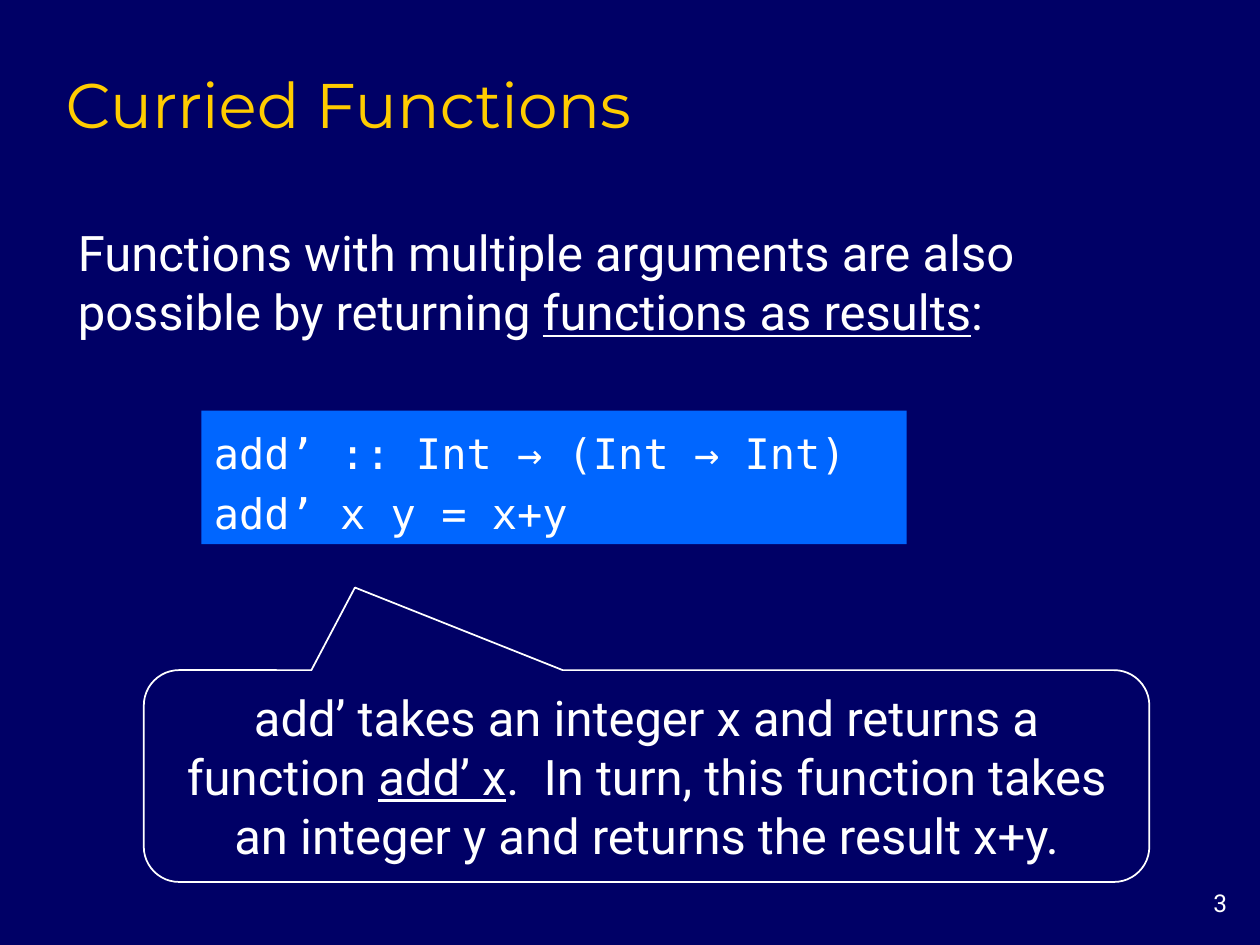
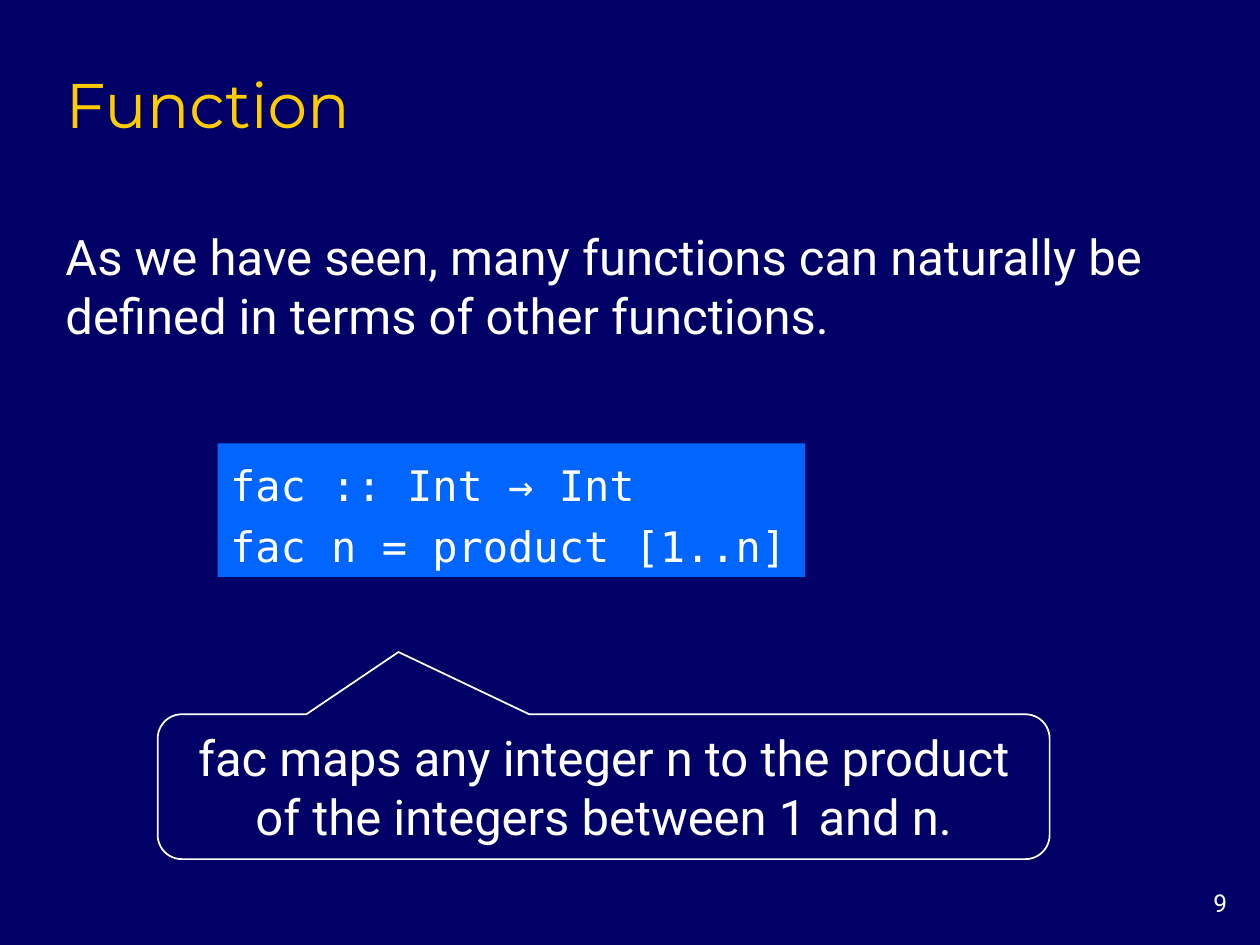
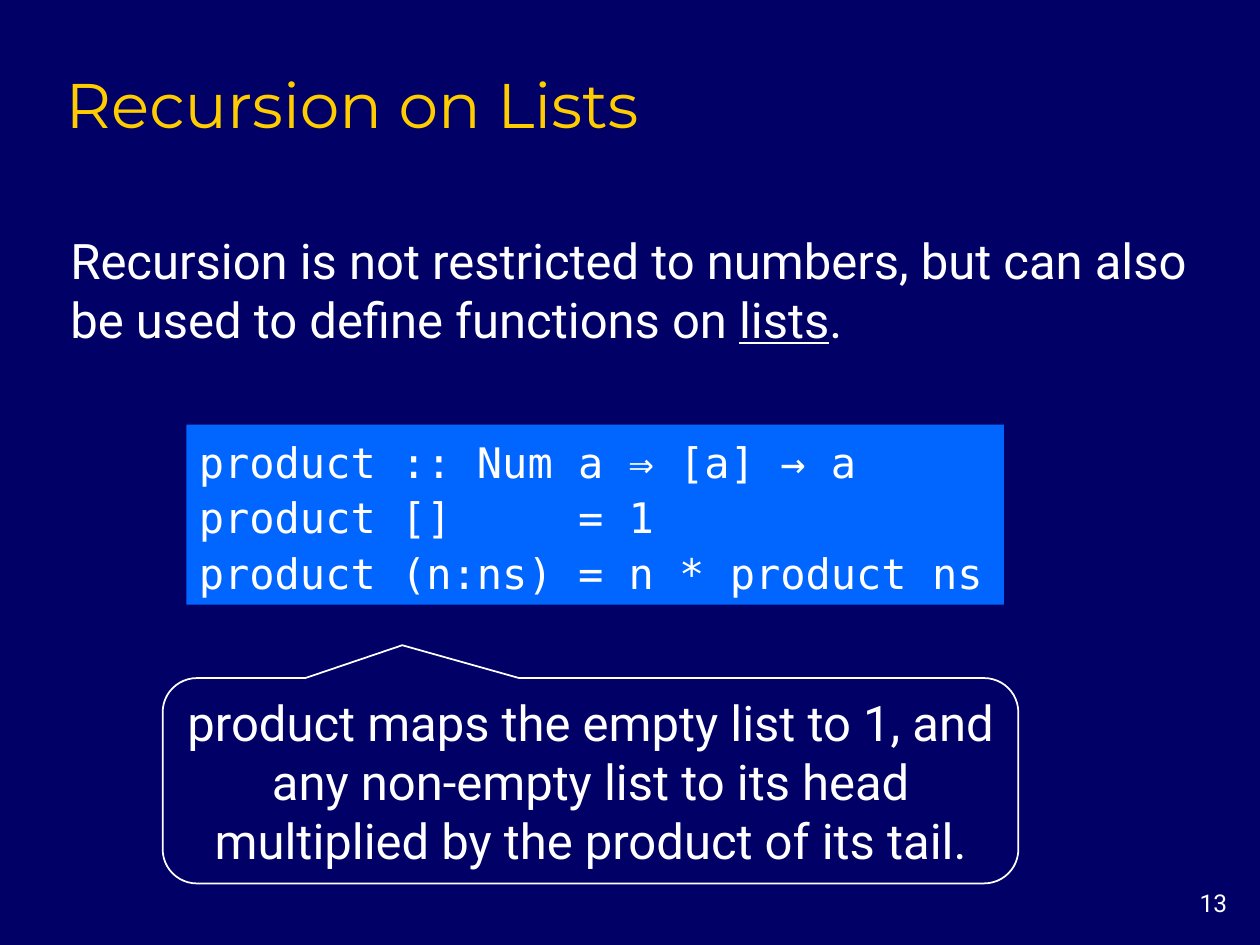
from pptx import Presentation
from pptx.dml.color import RGBColor
from pptx.enum.shapes import MSO_SHAPE
from pptx.enum.text import MSO_ANCHOR, PP_ALIGN
from pptx.util import Cm, Pt

NAVY = RGBColor(0x00, 0x00, 0x66)
BLUE = RGBColor(0x00, 0x66, 0xFF)
GOLD = RGBColor(0xFF, 0xCC, 0x00)
WHITE = RGBColor(0xFF, 0xFF, 0xFF)
TITLE_FONT, TEXT_FONT, CODE_FONT = "Montserrat", "Roboto", "DejaVu Sans Mono"

# Boxes are left, top, width, height in centimetres; _underscores_ mark underlined text.
LESSONS = [
    {
        "number": 3,
        "title": "Curried Functions",
        "intro": "Functions with multiple arguments are also possible by returning "
                 "_functions as results_:",
        "intro_box": (1.32, 4.37, 23.16, 2.62),
        "code": ["add’ :: Int → (Int → Int)", "add’ x y = x+y"],
        "code_box": (4.06, 8.28, 14.22, 2.69),
        "code_spacing": 1.2,
        "callout": "add’ takes an integer x and returns a function _add’ x_.  "
                   "In turn, this function takes an integer y and returns the result x+y.",
        "callout_box": (2.9, 13.51, 20.27, 4.27),
        "callout_tip": (-0.29, -0.89),
    },
    {
        "number": 9,
        "title": "Function",
        "intro": "As we have seen, many functions can naturally be defined "
                 "in terms of other functions.",
        "intro_box": (1.07, 4.45, 23.24, 2.62),
        "code": ["fac :: Int → Int", "fac n = product [1..n]"],
        "code_box": (4.39, 8.94, 11.84, 2.69),
        "code_spacing": 1.2,
        "callout": "fac maps any integer n to the product of the integers between 1 and n.",
        "callout_box": (3.18, 14.4, 17.98, 2.92),
        "callout_tip": (-0.23, -0.93),
    },
    {
        "number": 13,
        "title": "Recursion on Lists",
        "intro": "Recursion is not restricted to numbers, but can also be used "
                 "to define functions on _lists_.",
        "intro_box": (1.17, 4.52, 23.04, 2.62),
        "code": [
            "product :: Num a ⇒ [a] → a",
            "product []     = 1",
            "product (n:ns) = n * product ns",
        ],
        "code_box": (3.76, 8.56, 16.48, 3.63),
        "code_spacing": 1.1,
        "callout": "product maps the empty list to 1, and any non-empty list to its head "
                   "multiplied by the product of its tail.",
        "callout_box": (3.28, 13.67, 17.25, 4.14),
        "callout_tip": (-0.22, -0.66),
    },
]


def write_lines(shape, lines, font_name, size, color=WHITE, align=PP_ALIGN.LEFT,
                anchor=MSO_ANCHOR.MIDDLE, spacing=1.0):
    """Fill a shape with one paragraph per line, underlining text between underscores."""
    frame = shape.text_frame
    frame.word_wrap = True
    frame.vertical_anchor = anchor
    for index, line in enumerate(lines):
        paragraph = frame.add_paragraph() if index else frame.paragraphs[0]
        paragraph.alignment = align
        paragraph.line_spacing = spacing
        paragraph.font.name = font_name
        paragraph.font.size = Pt(size)
        paragraph.font.color.rgb = color
        for position, text in enumerate(line.split("_")):
            run = paragraph.add_run()
            run.text = text
            if position % 2:
                run.font.underline = True


def add_plain_shape(slide, preset, box):
    shape = slide.shapes.add_shape(preset, *map(Cm, box))
    shape.shadow.inherit = False
    return shape


presentation = Presentation()
presentation.slide_width = Cm(25.4)
presentation.slide_height = Cm(19.05)

master = presentation.slide_master
master.background.fill.solid()
master.background.fill.fore_color.rgb = NAVY
master_title = master.placeholders[0]
master_title.left, master_title.top = Cm(1.07), Cm(1.07)
master_title.width, master_title.height = Cm(21.59), Cm(1.9)
title_only = presentation.slide_layouts.get_by_name("Title Only")

for lesson in LESSONS:
    slide = presentation.slides.add_slide(title_only)
    write_lines(slide.shapes.title, [lesson["title"]], TITLE_FONT, 36, GOLD,
                anchor=MSO_ANCHOR.BOTTOM)

    intro = slide.shapes.add_textbox(*map(Cm, lesson["intro_box"]))
    write_lines(intro, [lesson["intro"]], TEXT_FONT, 28)

    code = add_plain_shape(slide, MSO_SHAPE.RECTANGLE, lesson["code_box"])
    code.fill.solid()
    code.fill.fore_color.rgb = BLUE
    code.line.fill.background()
    write_lines(code, lesson["code"], CODE_FONT, 24, spacing=lesson["code_spacing"])

    callout = add_plain_shape(slide, MSO_SHAPE.ROUNDED_RECTANGULAR_CALLOUT,
                              lesson["callout_box"])
    callout.adjustments[0], callout.adjustments[1] = lesson["callout_tip"]
    callout.fill.background()
    callout.line.color.rgb = WHITE
    callout.line.width = Pt(1)
    write_lines(callout, [lesson["callout"]], TEXT_FONT, 28, align=PP_ALIGN.CENTER)

    number = slide.shapes.add_textbox(Cm(23.29), Cm(17.78), Cm(1.7), Cm(0.84))
    write_lines(number, [str(lesson["number"])], TEXT_FONT, 14, align=PP_ALIGN.RIGHT,
                anchor=MSO_ANCHOR.TOP)

presentation.save("out.pptx")
